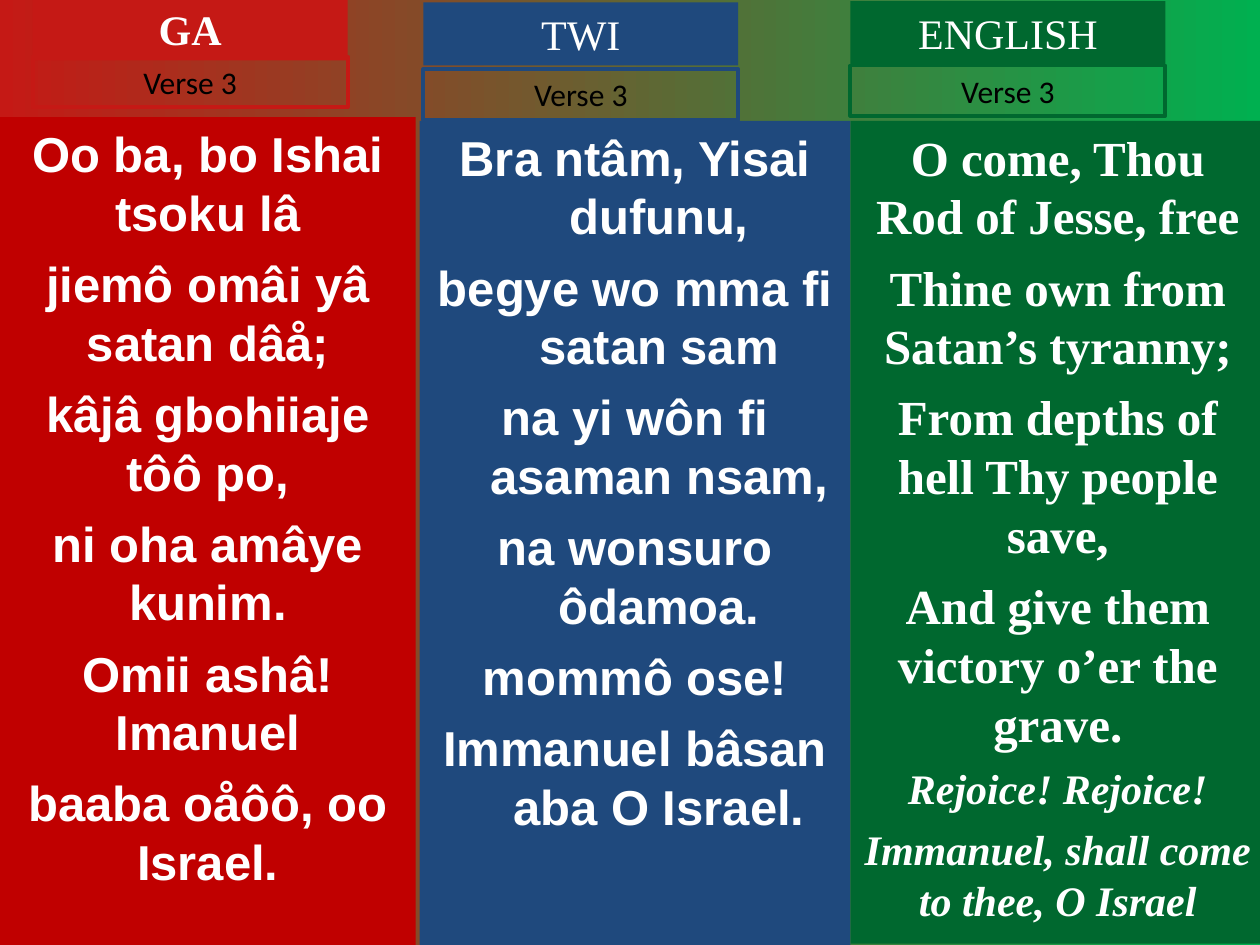
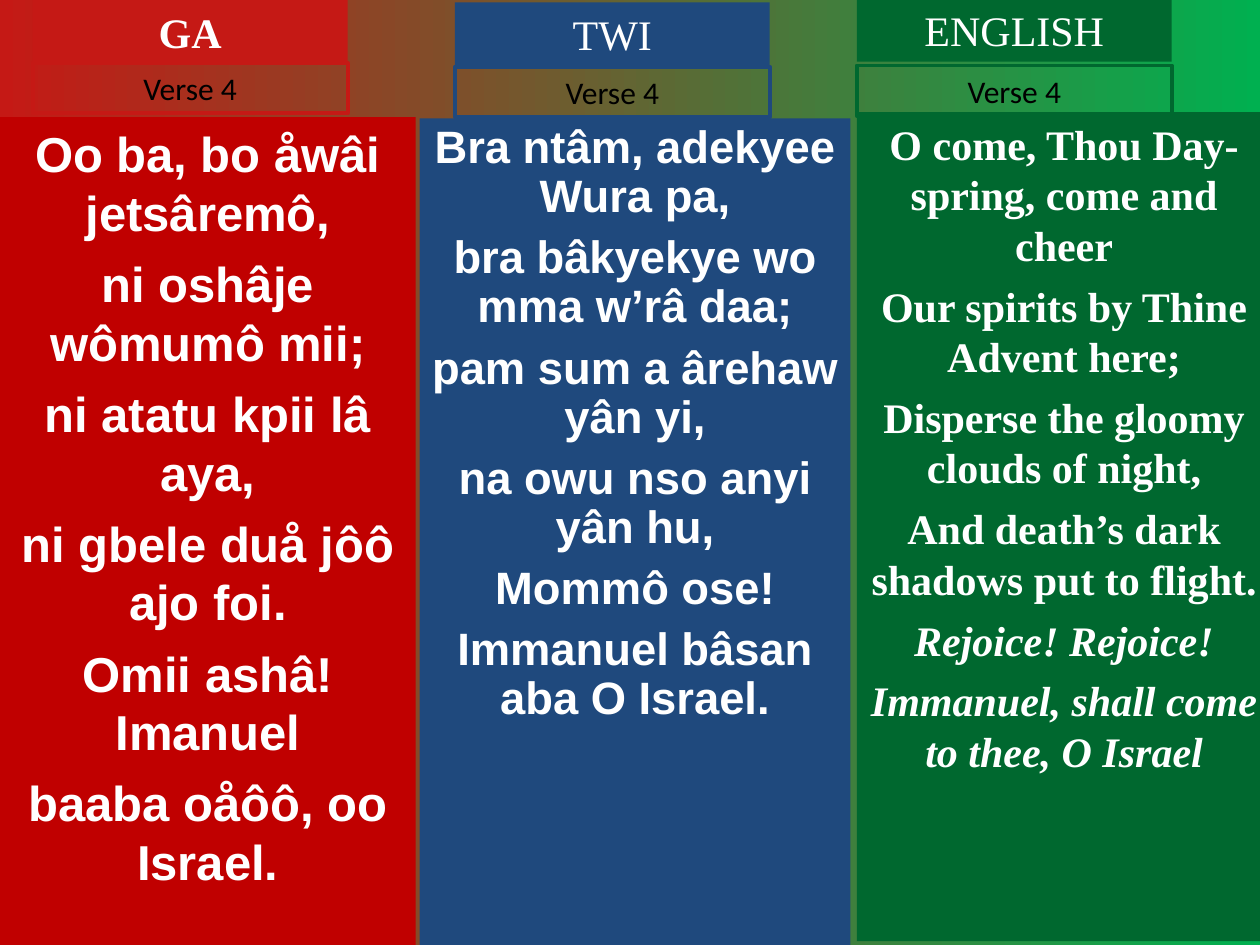
from pptx import Presentation
from pptx.dml.color import RGBColor
from pptx.enum.shapes import MSO_SHAPE
from pptx.enum.text import MSO_ANCHOR, MSO_AUTO_SIZE, PP_ALIGN
from pptx.util import Inches, Pt

WHITE, BLACK = "FFFFFF", "000000"
BACKGROUND = ("C51915", "00B050")
TAG_WIDTH, TITLE_HEIGHT, VERSE_HEIGHT = 2.5, 0.5, 0.4
HANGING = 0.38

# What each language keeps on every slide
LANGUAGES = {
    "GA": dict(tag="C51915", panel="C00000", font="Arial", bold_title=True, width=3.3),
    "TWI": dict(tag="1F497D", panel="1F497D", font="Arial", bold_title=False, width=3.42),
    "ENGLISH": dict(tag="00682F", panel="00682F", font="Times New Roman",
                    bold_title=False, width=3.29),
}

REFRAIN = ["Rejoice! Rejoice!", "Immanuel, shall come to thee, O Israel"]

# tag: left edge, title top, verse top; panel: left edge, top, height
VERSES = {
    "Verse 3": {
        "GA": dict(
            tag=(0.26, -0.02, 0.45), panel=(0, 0.93, 6.57), size=28,
            lines=["Oo ba, bo Ishai tsoku lâ", "jiemô omâi yâ satan dâå;",
                   "kâjâ gbohiiaje tôô po,", "ni oha amâye kunim.",
                   "Omii ashâ! Imanuel", "baaba oåôô, oo Israel."]),
        "TWI": dict(
            tag=(3.36, 0.02, 0.55), panel=(3.33, 0.96, 6.54), size=28, hanging=True,
            lines=["Bra ntâm, Yisai dufunu,", "begye wo mma fi satan sam",
                   "na yi wôn fi asaman nsam,", "na wonsuro ôdamoa.",
                   "mommô ose!", "Immanuel bâsan aba O Israel."]),
        "ENGLISH": dict(
            tag=(6.75, 0.01, 0.52), panel=(6.75, 0.96, 6.53), size=28, refrain=REFRAIN,
            lines=["O come, Thou Rod of Jesse, free", "Thine own from Satan’s tyranny;",
                   "From depths of hell Thy people save,",
                   "And give them victory o’er the grave."]),
    },
    "Verse 4": {
        "GA": dict(
            tag=(0.26, 0, 0.5), panel=(0, 0.93, 6.57), size=28,
            lines=["Oo ba, bo åwâi jetsâremô,", "ni oshâje wômumô mii;",
                   "ni atatu kpii lâ aya,", "ni gbele duå jôô ajo foi.",
                   "Omii ashâ! Imanuel", "baaba oåôô, oo Israel."]),
        "TWI": dict(
            tag=(3.61, 0.02, 0.53), panel=(3.33, 0.94, 6.56), size=25.9, spacing=0.9,
            lines=["Bra ntâm, adekyee Wura pa,", "bra bâkyekye wo mma w’râ daa;",
                   "pam sum a ârehaw yân yi,", "na owu nso anyi yân hu,",
                   "Mommô ose!", "Immanuel bâsan aba O Israel."]),
        "ENGLISH": dict(
            tag=(6.8, -0.01, 0.52), panel=(6.8, 0.89, 6.58), size=24, refrain=REFRAIN,
            lines=["O come, Thou Day-spring, come and cheer",
                   "Our spirits by Thine Advent here;",
                   "Disperse the gloomy clouds of night,",
                   "And death’s dark shadows put to flight."]),
    },
}


def rgb(code):
    return RGBColor.from_string(code)


def add_box(slide, left, top, width, height, fill=None, outline=None):
    box = slide.shapes.add_shape(MSO_SHAPE.RECTANGLE, *map(Inches, (left, top, width, height)))
    box.shadow.inherit = False
    if fill:
        box.fill.solid()
        box.fill.fore_color.rgb = rgb(fill)
    else:
        box.fill.background()
    if outline:
        box.line.color.rgb = rgb(outline)
        box.line.width = Pt(2.25)
    else:
        box.line.fill.background()
    box.text_frame.word_wrap = True
    box.text_frame.vertical_anchor = MSO_ANCHOR.TOP
    return box


def style(paragraph, font, size, color, bold=False, italic=False):
    paragraph.alignment = PP_ALIGN.CENTER
    for run in paragraph.runs:
        run.font.name, run.font.size = font, Pt(size)
        run.font.bold, run.font.italic = bold, italic
        run.font.color.rgb = rgb(color)


def add_tag(slide, text, place, font, size, color, bold=False, **paint):
    """Add a one-line label whose box grows with its text."""
    frame = add_box(slide, *place, **paint).text_frame
    frame.auto_size = MSO_AUTO_SIZE.SHAPE_TO_FIT_TEXT
    frame.text = text
    style(frame.paragraphs[0], font, size, color, bold)


def add_lyrics(slide, language, verse):
    left, top, height = verse["panel"]
    frame = add_box(slide, left, top, language["width"], height, fill=language["panel"]).text_frame
    lines = verse["lines"]
    frame.text = "\n".join(lines + verse.get("refrain", []))
    for index, paragraph in enumerate(frame.paragraphs):
        in_refrain = index >= len(lines)
        size = 24 if in_refrain else verse["size"]
        style(paragraph, language["font"], size, WHITE, bold=True, italic=in_refrain)
        paragraph.space_before = Pt(0 if index == 0 else 6 if size == 24 else 7)
        if "spacing" in verse:
            paragraph.line_spacing = verse["spacing"]
        if verse.get("hanging"):
            properties = paragraph._p.get_or_add_pPr()
            properties.set("marL", str(Inches(HANGING)))
            properties.set("indent", str(-Inches(HANGING)))


def add_column(slide, name, label, verse):
    language = LANGUAGES[name]
    left, title_top, verse_top = verse["tag"]
    add_lyrics(slide, language, verse)
    add_tag(slide, name, (left, title_top, TAG_WIDTH, TITLE_HEIGHT), "Times New Roman", 24,
            WHITE, language["bold_title"], fill=language["tag"])
    add_tag(slide, label, (left, verse_top, TAG_WIDTH, VERSE_HEIGHT), "Calibri", 18,
            BLACK, outline=language["tag"])


def paint_background(slide):
    fill = slide.background.fill
    fill.gradient()
    fill.gradient_angle = 0
    for stop, color in zip(fill.gradient_stops, BACKGROUND):
        stop.color.rgb = rgb(color)


def main():
    deck = Presentation()
    deck.slide_width, deck.slide_height = Inches(10), Inches(7.5)
    for label, columns in VERSES.items():
        slide = deck.slides.add_slide(deck.slide_layouts[6])
        paint_background(slide)
        for name, verse in columns.items():
            add_column(slide, name, label, verse)
    deck.save("out.pptx")


if __name__ == "__main__":
    main()
